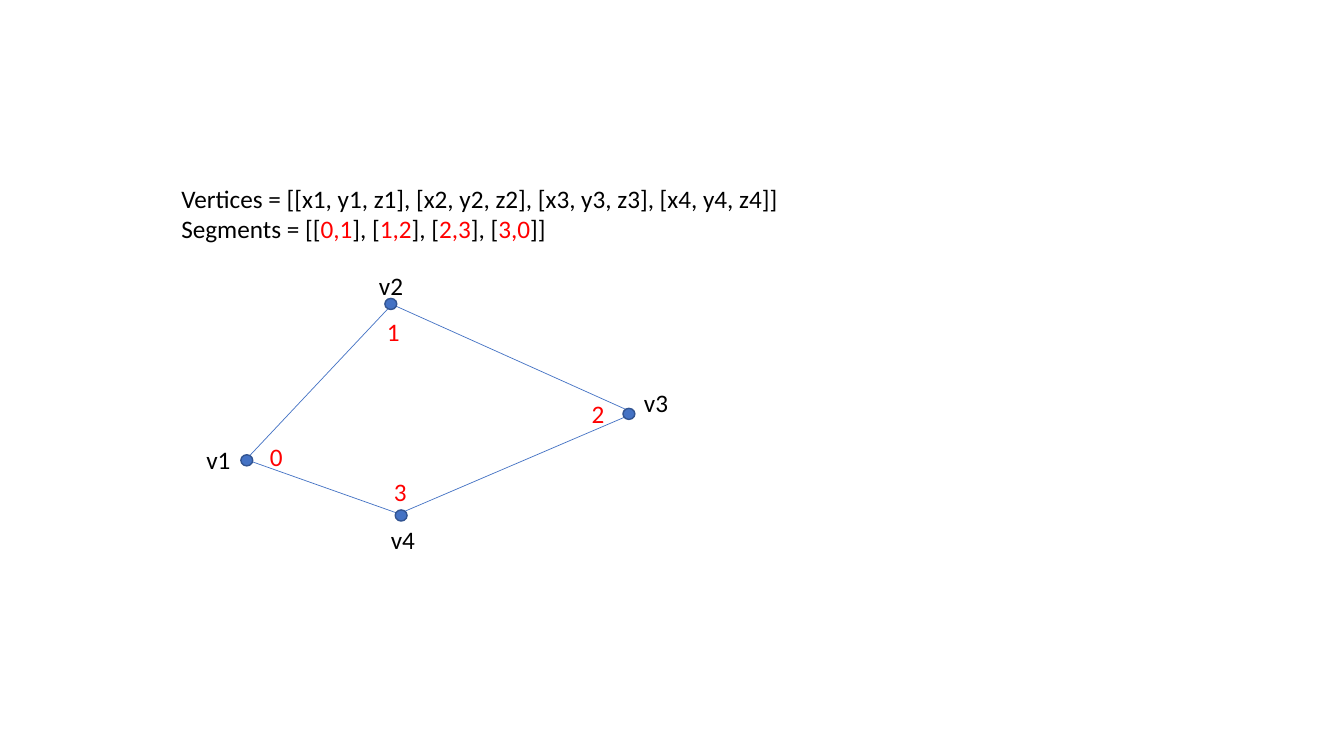
from dataclasses import dataclass
from typing import NamedTuple

from lxml.etree import SubElement
from pptx import Presentation
from pptx.dml.color import RGBColor
from pptx.enum.shapes import MSO_CONNECTOR, MSO_SHAPE
from pptx.enum.text import MSO_AUTO_SIZE
from pptx.oxml.ns import qn
from pptx.slide import Slide
from pptx.util import Cm, Pt


@dataclass(frozen=True)
class Theme:
    font: str = "Calibri"
    text_size: Pt = Pt(18)
    black: RGBColor = RGBColor(0x00, 0x00, 0x00)
    red: RGBColor = RGBColor(0xFF, 0x00, 0x00)
    blue: RGBColor = RGBColor(0x44, 0x72, 0xC4)
    dark_blue: RGBColor = RGBColor(0x32, 0x54, 0x91)
    segment_width: Pt = Pt(0.5)
    outline_width: Pt = Pt(1)


class Point(NamedTuple):
    left: float
    top: float


class Size(NamedTuple):
    width: float
    height: float


class Span(NamedTuple):
    text: str
    color: RGBColor


class Segment(NamedTuple):
    start: Point
    end: Point


@dataclass(frozen=True)
class Vertex:
    dot: Point
    label: Point
    index: Point


THEME = Theme()
DOT_SIZE = Size(0.3, 0.28)
LABEL_SIZE = Size(2.44, 1.02)
INDEX_SIZE = Size(1.32, 1.02)
FORMULA_PLACE = Point(4.32, 4.5)
FORMULA_SIZE = Size(16.43, 1.8)

VERTICES = [
    Vertex(Point(6.07, 11.46), Point(4.95, 11.07), Point(6.55, 11)),
    Vertex(Point(9.7, 7.52), Point(9.3, 6.68), Point(9.5, 7.85)),
    Vertex(Point(15.7, 10.29), Point(15.98, 9.63), Point(14.66, 9.91)),
    Vertex(Point(9.96, 12.85), Point(9.6, 13.08), Point(9.68, 11.89)),
]

LEFT_JOINT = Point(6.2, 11.58)
TOP_JOINT = Point(9.88, 7.67)
RIGHT_JOINT = Point(15.98, 10.41)
SEGMENTS = [
    Segment(LEFT_JOINT, TOP_JOINT),
    Segment(RIGHT_JOINT, TOP_JOINT),
    Segment(RIGHT_JOINT, Point(10.21, 12.88)),
    Segment(LEFT_JOINT, Point(10.01, 12.93)),
]


def add_segment(page: Slide, segment: Segment) -> None:
    ends = [Cm(value) for point in segment for value in point]
    line = page.shapes.add_connector(MSO_CONNECTOR.STRAIGHT, *ends)
    line.line.color.rgb = THEME.blue
    line.line.width = THEME.segment_width
    SubElement(line._element.spPr, qn("a:effectLst"))


def add_dot(page: Slide, place: Point) -> None:
    bounds = [Cm(value) for value in (*place, *DOT_SIZE)]
    dot = page.shapes.add_shape(MSO_SHAPE.OVAL, *bounds)
    dot.shadow.inherit = False
    dot.fill.solid()
    dot.fill.fore_color.rgb = THEME.blue
    dot.line.color.rgb = THEME.dark_blue
    dot.line.width = THEME.outline_width


def add_text(page: Slide, place: Point, size: Size, lines: list[list[Span]]) -> None:
    bounds = [Cm(value) for value in (*place, *size)]
    frame = page.shapes.add_textbox(*bounds).text_frame
    frame_format = {"word_wrap": True, "auto_size": MSO_AUTO_SIZE.SHAPE_TO_FIT_TEXT}
    for name, value in frame_format.items():
        setattr(frame, name, value)
    for number, spans in enumerate(lines):
        para = frame.add_paragraph() if number else frame.paragraphs[0]
        for span in spans:
            run = para.add_run()
            run.text = span.text
            for name, value in {"name": THEME.font, "size": THEME.text_size}.items():
                setattr(run.font, name, value)
            run.font.color.rgb = span.color


def formula_lines() -> list[list[Span]]:
    count = len(VERTICES)
    points = ", ".join(f"[x{n}, y{n}, z{n}]" for n in range(1, count + 1))
    segments = []
    for index in range(count):
        opening = "], [" if index else "Segments = [["
        segments.append(Span(opening, THEME.black))
        segments.append(Span(f"{index},{(index + 1) % count}", THEME.red))
    segments.append(Span("]]", THEME.black))
    return [[Span(f"Vertices = [{points}]", THEME.black)], segments]


def main() -> None:
    deck = Presentation()
    deck.slide_width = Cm(33.87)
    deck.slide_height = Cm(19.05)
    page = deck.slides.add_slide(deck.slide_layouts.get_by_name("Blank"))

    for segment in SEGMENTS:
        add_segment(page, segment)
    for number, vertex in enumerate(VERTICES, start=1):
        add_text(page, vertex.label, LABEL_SIZE, [[Span(f"v{number}", THEME.black)]])
    add_text(page, FORMULA_PLACE, FORMULA_SIZE, formula_lines())
    for vertex in VERTICES:
        add_dot(page, vertex.dot)
    for index, vertex in enumerate(VERTICES):
        add_text(page, vertex.index, INDEX_SIZE, [[Span(str(index), THEME.red)]])

    deck.save("out.pptx")


if __name__ == "__main__":
    main()
